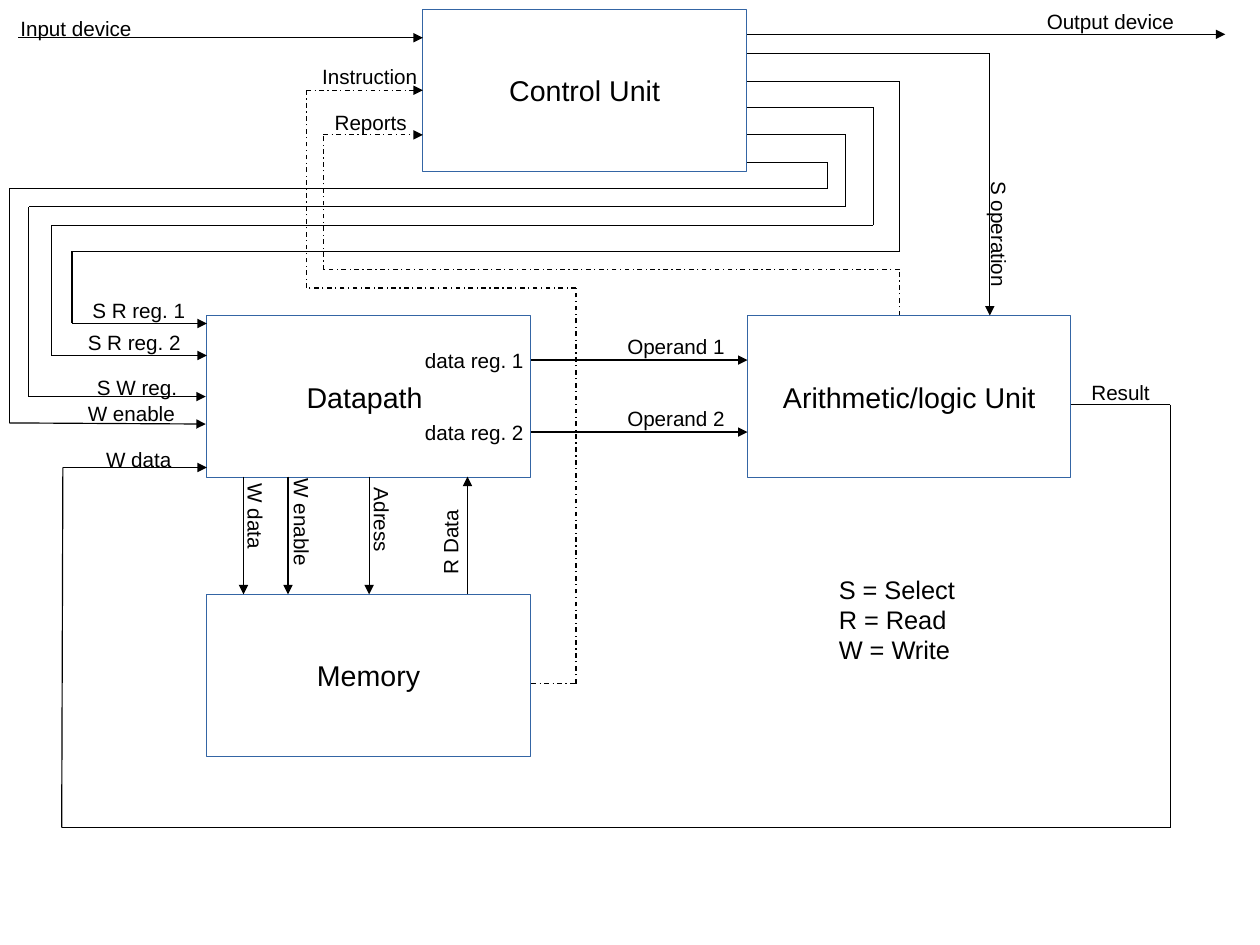
import pptx
import pptx.util
import pptx.dml.color
import pptx.enum.dml
import pptx.enum.shapes
import pptx.enum.text
import pptx.oxml.ns
from lxml import etree
from pptx.util import Inches

BLACK = pptx.dml.color.RGBColor(0x00, 0x00, 0x00)
BLUE = pptx.dml.color.RGBColor(0x34, 0x65, 0xA4)
LEFT = pptx.enum.text.PP_ALIGN.LEFT
CENTER = pptx.enum.text.PP_ALIGN.CENTER
TOP = pptx.enum.text.MSO_ANCHOR.TOP
MIDDLE = pptx.enum.text.MSO_ANCHOR.MIDDLE
DASH_DOT = pptx.enum.dml.MSO_LINE.DASH_DOT
LINE_WIDTH = pptx.util.Pt(0.75)
CM_PER_INCH = 2.54
BOX_SIZE = (2.83, 1.42)

FRAME_FORMAT = {
    "word_wrap": True,
    "margin_left": Inches(0.1),
    "margin_right": Inches(0.1),
    "margin_top": Inches(0.05),
    "margin_bottom": Inches(0.05),
}

UNITS = [
    ("Control Unit", 3.7, 0.08),
    ("Datapath ", 1.81, 2.76),
    ("Arithmetic/logic Unit", 6.54, 2.76),
    ("Memory", 1.81, 5.2),
]

SIGNALS = [
    [(0.16, 0.33), (3.7, 0.33)],
    [(6.54, 0.3), (10.72, 0.3)],
    [(6.54, 0.47), (8.66, 0.47), (8.66, 2.76)],
    [(6.54, 0.71), (7.87, 0.71), (7.87, 2.2), (0.63, 2.2), (0.63, 2.83), (1.81, 2.83)],
    [(6.54, 0.94), (7.64, 0.94), (7.64, 1.97), (0.45, 1.97), (0.45, 3.11), (1.81, 3.11)],
    [(6.54, 1.18), (7.4, 1.18), (7.4, 1.81), (0.25, 1.81), (0.25, 3.47), (1.8, 3.47)],
    [(6.54, 1.42), (7.24, 1.42), (7.24, 1.65), (0.08, 1.65), (0.08, 3.7), (1.8, 3.71)],
    [(9.37, 3.54), (10.24, 3.54), (10.24, 7.24), (0.54, 7.24), (0.55, 4.09), (1.81, 4.09)],
    [(4.65, 3.15), (6.54, 3.15)],
    [(4.65, 3.78), (6.54, 3.78)],
    [(2.13, 4.17), (2.13, 5.2)],
    [(2.52, 4.17), (2.52, 5.2)],
    [(3.23, 4.17), (3.23, 5.2)],
    [(4.09, 5.2), (4.09, 4.17)],
]

FEEDBACK = [
    [(4.65, 5.98), (5.04, 5.98), (5.04, 2.52), (2.68, 2.52), (2.68, 0.79), (3.7, 0.79)],
    [(7.87, 2.76), (7.87, 2.36), (2.83, 2.36), (2.83, 1.18), (3.7, 1.18)],
]

LABELS = [
    ("Input device", 0.08, 0.09, 1.2, 0.52, 0),
    ("Output device", 9.06, 0.03, 1.42, 0.5, 0),
    ("Instruction", 2.72, 0.51, 1.1, 0.52, 0),
    ("Reports", 2.83, 0.91, 0.93, 0.5, 0),
    ("S operation", 8.02, 1.87, 1.26, 0.5, 90),
    ("S R reg. 1", 0.71, 2.56, 1.1, 0.32, 0),
    ("S R reg. 2", 0.67, 2.84, 1.34, 0.32, 0),
    ("S W reg.", 0.75, 3.23, 1.18, 0.32, 0),
    ("W enable", 0.67, 3.46, 1.34, 0.32, 0),
    ("W data", 0.83, 3.86, 1.26, 0.31, 0),
    ("data reg. 1", 3.62, 2.99, 1.1, 0.32, 0),
    ("data reg. 2", 3.62, 3.62, 1.1, 0.32, 0),
    ("Operand 1", 5.39, 2.87, 1.1, 0.32, 0),
    ("Operand 2", 5.39, 3.5, 1.1, 0.32, 0),
    ("Result", 9.45, 3.27, 0.79, 0.32, 0),
    ("W data", 1.73, 4.41, 0.94, 0.39, 90),
    ("W enable", 1.97, 4.6, 1.34, 0.32, 90),
    ("Adress", 2.79, 4.56, 1.1, 0.32, 90),
    ("R Data", 3.27, 4.29, 1.34, 0.32, 270),
]

LEGEND = "S = Select\nR = Read\nW = Write"


def set_format(target, values):
    """Set each named format value on the target."""
    for name, value in values.items():
        setattr(target, name, value)


def write_text(sp, text, size, align=LEFT, anchor=TOP):
    """Write one paragraph per line of text."""
    tf = sp.text_frame
    set_format(tf, {**FRAME_FORMAT, "vertical_anchor": anchor})
    tf.text = text
    for p in tf.paragraphs:
        p.alignment = align
        for r in p.runs:
            set_format(r.font, {"name": "Arial", "size": pptx.util.Pt(size)})
            r.font.color.rgb = BLACK


def add_unit(s, name, left, top):
    """Add an outlined box for a processor unit."""
    sp = s.shapes.add_shape(
        pptx.enum.shapes.MSO_SHAPE.RECTANGLE,
        Inches(left), Inches(top), *map(Inches, BOX_SIZE))
    sp.shadow.inherit = False
    sp.fill.background()
    sp.line.color.rgb = BLUE
    sp.line.width = LINE_WIDTH
    write_text(sp, name, 18, CENTER, MIDDLE)


def add_segment(s, start, end, dash, arrow):
    """Add one straight piece of a wire."""
    sp = s.shapes.add_connector(
        pptx.enum.shapes.MSO_CONNECTOR.STRAIGHT, *map(Inches, start + end))
    sp.line.color.rgb = BLACK
    set_format(sp.line, {"width": LINE_WIDTH, "dash_style": dash})
    if arrow:
        ln = sp.line._get_or_add_ln()
        etree.SubElement(ln, pptx.oxml.ns.qn("a:tailEnd"), type="triangle")
    etree.SubElement(sp._element.spPr, pptx.oxml.ns.qn("a:effectLst"))


def add_wire(s, points, dash=None):
    """Join the points by segments and end in an arrowhead."""
    for start, end in zip(points, points[1:]):
        add_segment(s, start, end, dash, end == points[-1])


def add_label(s, text, left, top, width, height, rotation=0, size=13):
    """Add a text box turned by the given angle."""
    sp = s.shapes.add_textbox(*map(Inches, (left, top, width, height)))
    sp.rotation = rotation
    write_text(sp, text, size)


def main():
    """Build the processor diagram and save it."""
    prs = pptx.Presentation()
    prs.slide_width = Inches(28 / CM_PER_INCH)
    prs.slide_height = Inches(21 / CM_PER_INCH)
    s = prs.slides.add_slide(prs.slide_layouts[6])
    for unit in UNITS:
        add_unit(s, *unit)
    for points in SIGNALS:
        add_wire(s, points)
    for points in FEEDBACK:
        add_wire(s, points, DASH_DOT)
    for label in LABELS:
        add_label(s, *label)
    add_label(s, LEGEND, 7.24, 4.97, 1.42, 0.94, size=16)
    prs.save("out.pptx")


if __name__ == "__main__":
    main()
